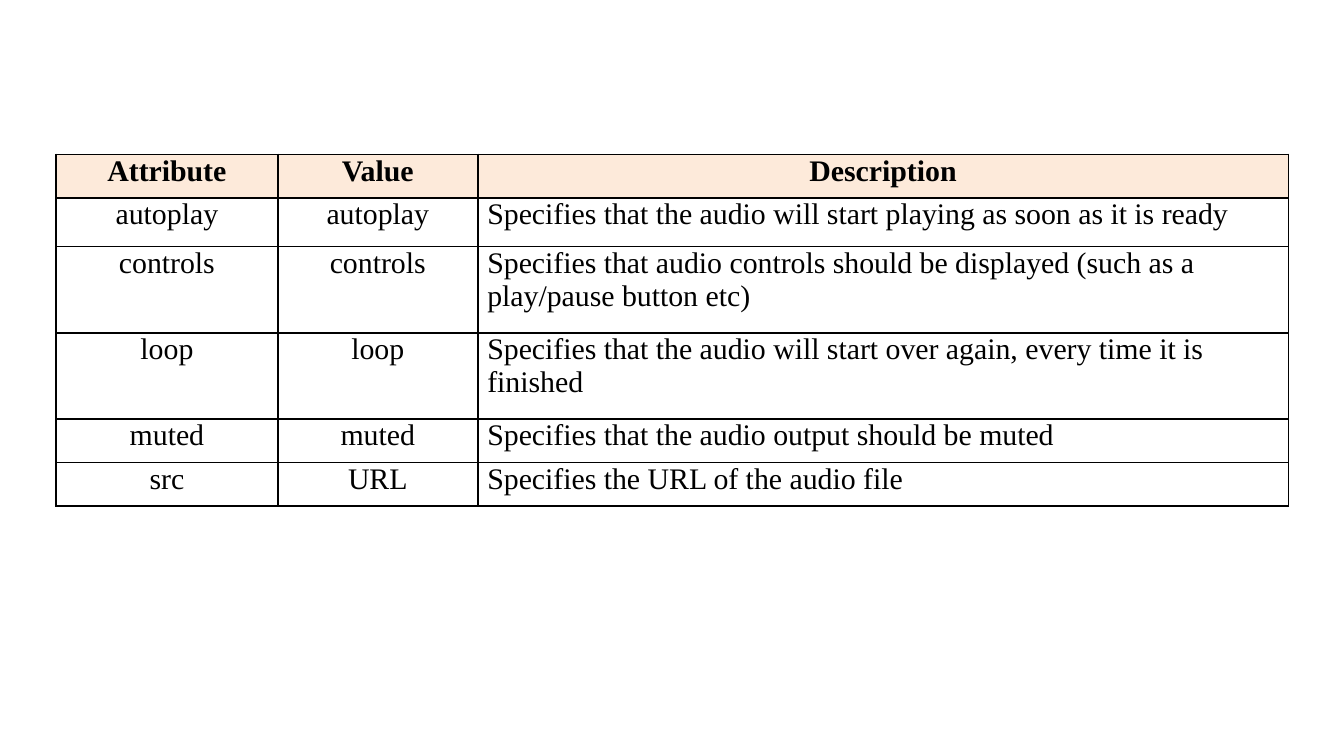
from lxml import etree
from pptx import Presentation
from pptx import util as u
from pptx.dml.color import RGBColor
from pptx.enum import text
from pptx.oxml.ns import qn

COLS = [4.19, 3.78, 15.32]
ROWS = [
    (0.82, "Attribute", "Value", "Description"),
    (0.92, "autoplay", "autoplay",
     "Specifies that the audio will start playing as soon as it is ready"),
    (1.63, "controls", "controls",
     "Specifies that audio controls should be displayed (such as a play/pause button etc)"),
    (1.63, "loop", "loop",
     "Specifies that the audio will start over again, every time it is finished"),
    (0.82, "muted", "muted", "Specifies that the audio output should be muted"),
    (0.82, "src", "URL", "Specifies the URL of the audio file"),
]


def color(value):
    return RGBColor.from_string(value)


def add_borders(cell, value):
    tcPr = cell._tc.get_or_add_tcPr()
    for i, side in enumerate(("lnL", "lnR", "lnT", "lnB")):
        ln = etree.Element(qn("a:" + side), w=str(u.Pt(1)))
        fill = etree.SubElement(ln, qn("a:solidFill"))
        etree.SubElement(fill, qn("a:srgbClr"), val=value)
        tcPr.insert(i, ln)


def fill_cell(cell, words, header, centered):
    cell.margin_left = cell.margin_right = u.Cm(0.18)
    cell.margin_top = cell.margin_bottom = 0
    if header:
        cell.fill.solid()
        cell.fill.fore_color.rgb = color("FDEADA")
    else:
        cell.fill.background()
    add_borders(cell, "000000")
    cell.text_frame.text = words
    p = cell.text_frame.paragraphs[0]
    p.alignment = text.PP_ALIGN.CENTER if centered else text.PP_ALIGN.LEFT
    r = p.runs[0]
    r.font.name = "Times New Roman"
    r.font.size = u.Pt(16)
    r.font.bold = header
    r.font.color.rgb = color("000000")


def add_attribute_table(s):
    height = sum(row[0] for row in ROWS)
    table = s.shapes.add_table(len(ROWS), len(COLS), u.Cm(1.06), u.Cm(2.92),
                               u.Cm(sum(COLS)), u.Cm(height)).table
    for column, width in zip(table.columns, COLS):
        column.width = u.Cm(width)
    for i, (row_height, *words) in enumerate(ROWS):
        table.rows[i].height = u.Cm(row_height)
        for j, word in enumerate(words):
            header = i == 0
            fill_cell(table.cell(i, j), word, header, header or j < 2)


def main():
    prs = Presentation()
    prs.slide_width, prs.slide_height = u.Cm(25.4), u.Cm(14.29)
    s = prs.slides.add_slide(prs.slide_layouts[6])
    add_attribute_table(s)
    prs.save("out.pptx")


if __name__ == "__main__":
    main()
